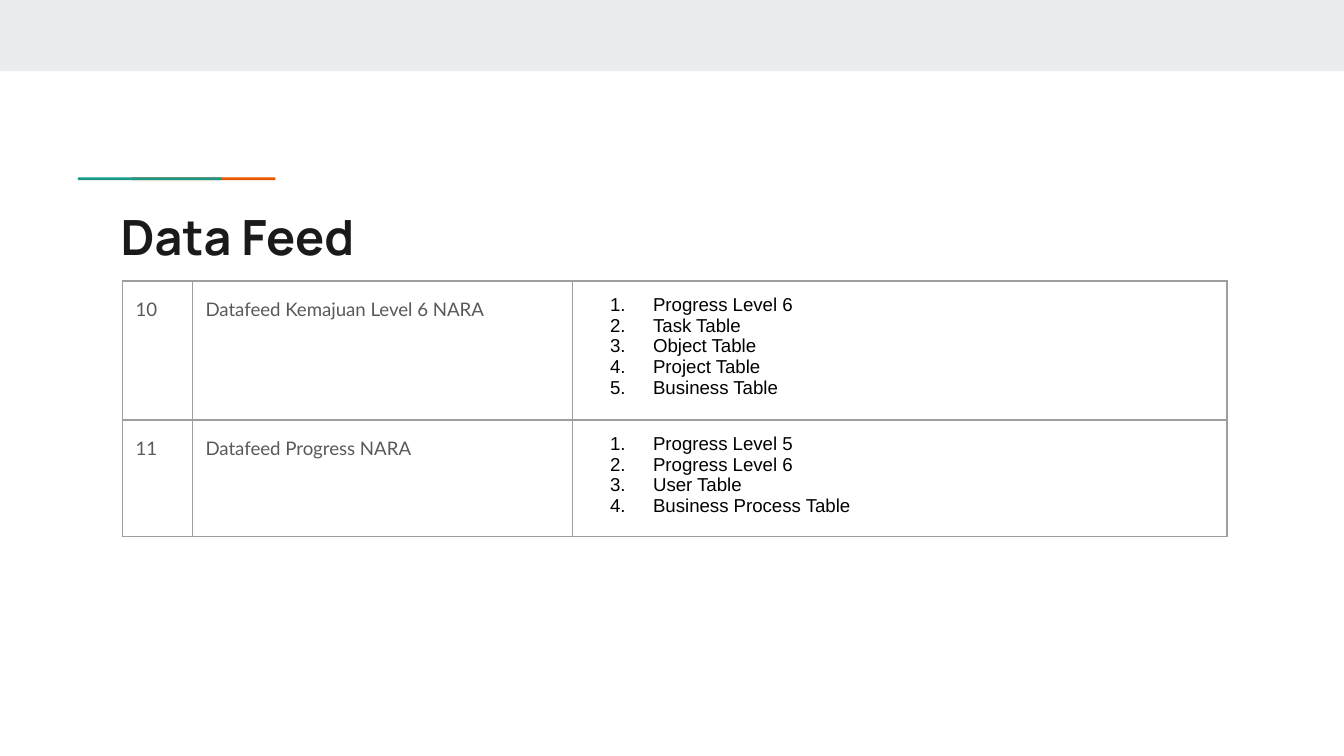
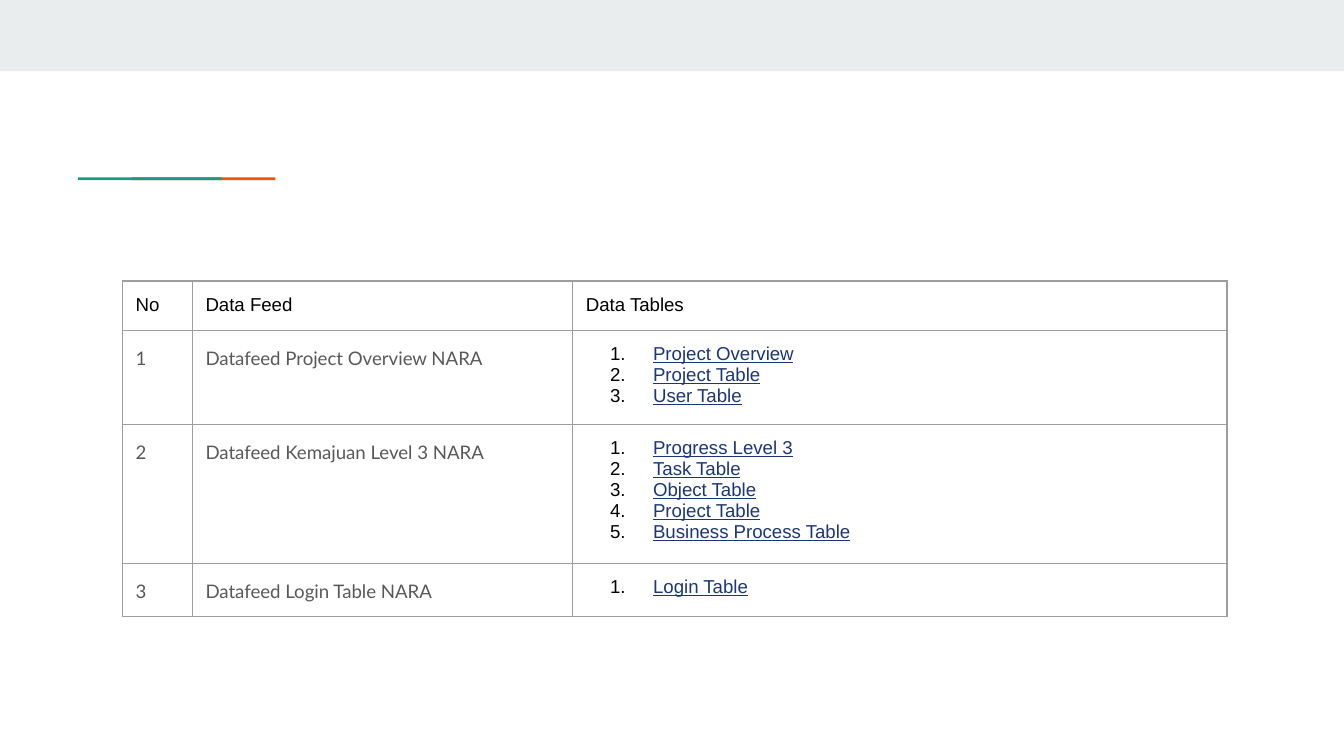
import pptx
import pptx.util
import pptx.dml.color
import pptx.enum.shapes
import pptx.oxml.ns
from lxml import etree

# Content: title, heading row, rows of (number, feed, tables), list style
SLIDES = [
    dict(title="Data Feed", head=None, link=False, rows=[
        ("10", "Datafeed Kemajuan Level 6 NARA",
         ["Progress Level 6", "Task Table", "Object Table",
          "Project Table", "Business Table"]),
        ("11", "Datafeed Progress NARA",
         ["Progress Level 5", "Progress Level 6", "User Table",
          "Business Process Table"]),
    ]),
    dict(title=None, head=("No", "Data Feed", "Data Tables"), link=True, rows=[
        ("1", "Datafeed Project Overview NARA",
         ["Project Overview", "Project Table", "User Table"]),
        ("2", "Datafeed Kemajuan Level 3 NARA",
         ["Progress Level 3", "Task Table", "Object Table",
          "Project Table", "Business Process Table"]),
        ("3", "Datafeed Login Table NARA", ["Login Table"]),
    ]),
]

# Shared look; the slide is 16:9
WIDE = 10
HIGH = WIDE * 9 / 16
BAND, TEAL, RUST = "E9EDEE", "1A9988", "EB5600"
INK, GREY, BLACK, BLUE, EDGE = "1A1A1A", "595959", "000000", "1C3678", "9E9E9E"
COLS = (0.52, 2.83, 4.87)
LEFT, TOP, ROW = 0.91, 2.09, 0.28
PAD = 0.1
BAR, STEP = 1.07, 0.4       # accent bar length and offset

inch = pptx.util.Inches
point = pptx.util.Pt


def color(code):
    return pptx.dml.color.RGBColor.from_string(code)


def node(up, tag, **attrs):
    return etree.SubElement(up, pptx.oxml.ns.qn(tag), attrs)


def style(para, face, size, code, bold=False, line=False):
    for run in para.runs:
        font = run.font
        font.name, font.size = face, point(size)
        font.bold, font.underline = bold, line
        font.color.rgb = color(code)
        for tag in ("a:ea", "a:cs", "a:sym"):
            node(run._r.get_or_add_rPr(), tag, typeface=face)


def plain(para):
    para.line_spacing = 1.0
    para.space_before = para.space_after = point(0)


def rect(slide, x, y, w, h, code):
    shape = slide.shapes.add_shape(
        pptx.enum.shapes.MSO_SHAPE.RECTANGLE, inch(x), inch(y), inch(w), inch(h))
    shape.shadow.inherit = False
    shape.fill.solid()
    shape.fill.fore_color.rgb = color(code)
    shape.line.fill.background()


def pad(box):
    box.margin_left = box.margin_right = inch(PAD)
    box.margin_top = box.margin_bottom = inch(PAD)


def frame(slide):
    """Top band and two-colour accent bar."""
    rect(slide, 0, 0, WIDE, 0.53, BAND)
    for i, code in ((1, RUST), (0, TEAL)):
        rect(slide, 0.58 + i * STEP, 1.32, BAR, 0.02, code)


def heading(slide, text):
    box = slide.shapes.add_textbox(inch(0.8), inch(1.44), inch(8.41), inch(0.59))
    body = box.text_frame
    body.word_wrap = True
    pad(body)
    body.text = text
    style(body.paragraphs[0], "Manrope", 26, INK, bold=True)


def border(cell):
    props = cell._tc.get_or_add_tcPr()
    for side in "LRTB":
        line = node(props, "a:ln" + side, w=str(point(0.75)))
        node(node(line, "a:solidFill"), "a:srgbClr", val=EDGE)


def number(para):
    props = para._p.get_or_add_pPr()
    props.set("marL", str(inch(0.5)))
    props.set("indent", str(inch(-0.32)))
    node(node(props, "a:buClr"), "a:srgbClr", val=BLACK)
    node(props, "a:buSzPts", val="1000")
    node(props, "a:buFont", typeface="Arial")
    node(props, "a:buAutoNum", type="arabicPeriod")


def label(cell, text):
    cell.text_frame.text = text
    para = cell.text_frame.paragraphs[0]
    para.line_spacing, para.space_after = 1.15, point(16)
    style(para, "Lato", 10, GREY)


def listing(cell, items, link):
    cell.text_frame.text = "\n".join(items)
    for para in cell.text_frame.paragraphs:
        number(para)
        plain(para)
        style(para, "Arial", 10, BLUE if link else BLACK, line=link)


def grid(slide, head, rows, link):
    lines = ([head] if head else []) + rows
    table = slide.shapes.add_table(
        len(lines), len(COLS), inch(LEFT), inch(TOP),
        inch(sum(COLS)), inch(ROW * len(lines))).table
    table.first_row = table.horz_banding = False
    for col, width in zip(table.columns, COLS):
        col.width = inch(width)
    for r, line in enumerate(lines):
        for c, value in enumerate(line):
            cell = table.cell(r, c)
            pad(cell)
            border(cell)
            cell.fill.background()
            if line is head:
                cell.text_frame.text = value
                para = cell.text_frame.paragraphs[0]
                plain(para)
                style(para, "Arial", 10, BLACK)
            elif isinstance(value, list):
                listing(cell, value, link)
            else:
                label(cell, value)


def main():
    deck = pptx.Presentation()
    deck.slide_width, deck.slide_height = inch(WIDE), inch(HIGH)
    for page in SLIDES:
        slide = deck.slides.add_slide(deck.slide_layouts[6])
        frame(slide)
        if page["title"]:
            heading(slide, page["title"])
        grid(slide, page["head"], page["rows"], page["link"])
    deck.save("out.pptx")


if __name__ == "__main__":
    main()
